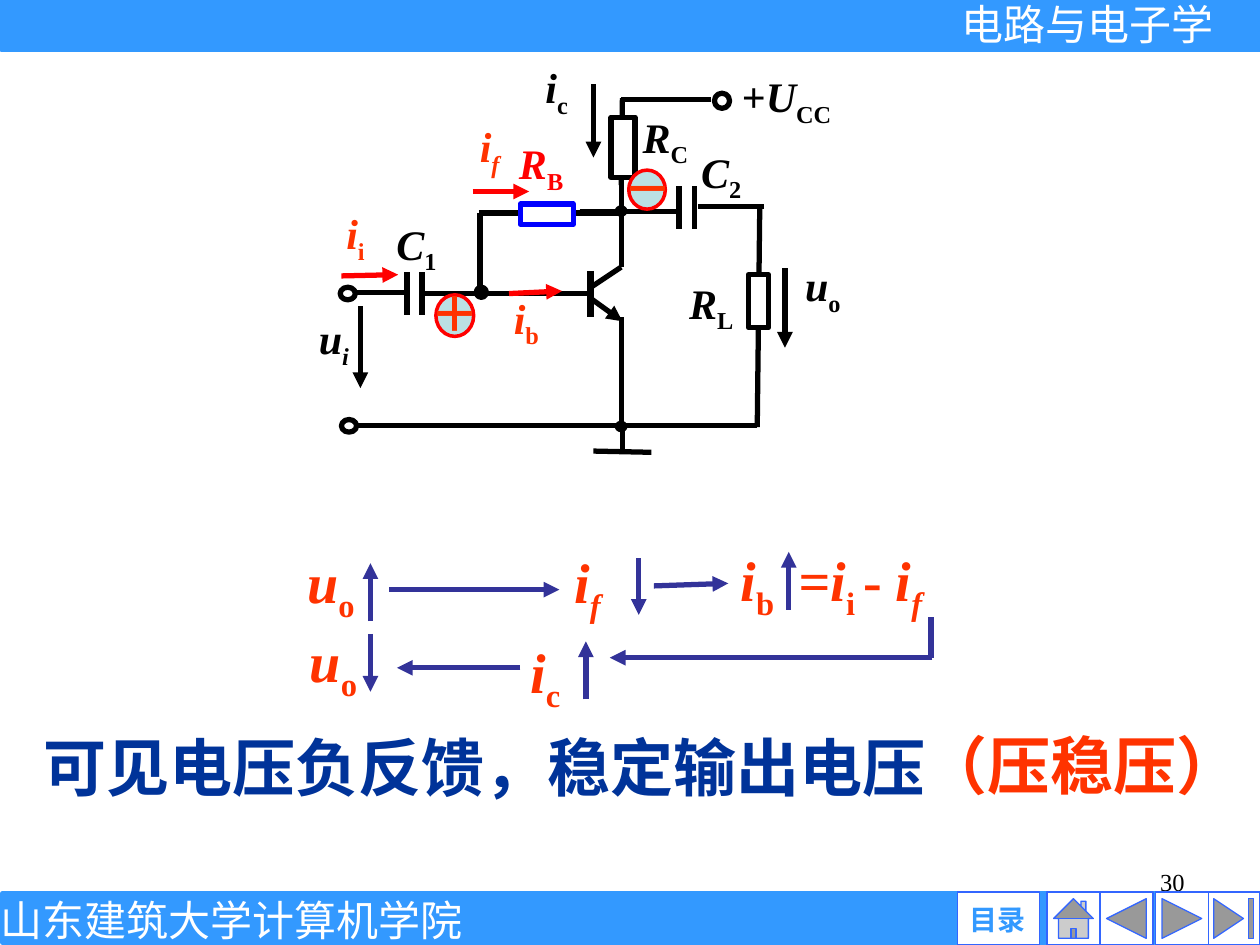
from dataclasses import dataclass

import pptx
import pptx.dml.color
import pptx.enum.shapes
import pptx.enum.text
import pptx.oxml.ns
import pptx.util
from lxml import etree

Inches, Pt = pptx.util.Inches, pptx.util.Pt
SHAPE = pptx.enum.shapes.MSO_SHAPE
ALIGN = pptx.enum.text.PP_ALIGN
ANCHOR = pptx.enum.text.MSO_ANCHOR

BLACK, WHITE, RED, BLUE = "000000", "FFFFFF", "FF0000", "0000FF"
ORANGE, NAVY, INDIGO = "FF3300", "003399", "333399"
BAR, BUTTON_EDGE, PALE = "3399FF", "3366FF", "BBE0E3"
SERIF, SANS = "Times New Roman", "Arial"


@dataclass
class Line:
    x1: float
    y1: float
    x2: float
    y2: float
    color: str = BLACK
    arrow: bool = False
    width: float = 3


@dataclass
class Box:
    kind: int
    x: float
    y: float
    w: float
    h: float
    fill: str | None = None
    line: str = BLACK
    width: float = 3


@dataclass
class Label:
    """Text box; each run is (text, style), with style letters i = italic, s = subscript."""
    x: float
    y: float
    w: float
    h: float
    runs: list[tuple[str, str]]
    color: str = BLACK
    size: int = 24
    bold: bool = True
    font: str = SERIF
    align: int = ALIGN.LEFT
    anchor: int = ANCHOR.TOP
    wrap: bool = True
    inset: bool = True


def rgb(value: str) -> pptx.dml.color.RGBColor:
    return pptx.dml.color.RGBColor.from_string(value)


def draw_line(s, item: Line) -> None:
    sp = s.shapes.add_connector(
        pptx.enum.shapes.MSO_CONNECTOR.STRAIGHT,
        Inches(item.x1), Inches(item.y1), Inches(item.x2), Inches(item.y2))
    sp.line.color.rgb = rgb(item.color)
    sp.line.width = Pt(item.width)
    qn = pptx.oxml.ns.qn
    if item.arrow:
        etree.SubElement(sp.line._get_or_add_ln(), qn("a:tailEnd"), type="triangle")
    etree.SubElement(sp._element.spPr, qn("a:effectLst"))


def draw_box(s, item: Box) -> None:
    sp = s.shapes.add_shape(item.kind, Inches(item.x), Inches(item.y),
                            Inches(item.w), Inches(item.h))
    sp.shadow.inherit = False
    if item.fill:
        sp.fill.solid()
        sp.fill.fore_color.rgb = rgb(item.fill)
    else:
        sp.fill.background()
    sp.line.color.rgb = rgb(item.line)
    sp.line.width = Pt(item.width)


def draw_label(s, item: Label) -> None:
    sp = s.shapes.add_textbox(Inches(item.x), Inches(item.y),
                              Inches(item.w), Inches(item.h))
    tf = sp.text_frame
    tf.word_wrap = item.wrap
    tf.vertical_anchor = item.anchor
    if not item.inset:
        tf.margin_left = tf.margin_right = tf.margin_top = tf.margin_bottom = 0
    p = tf.paragraphs[0]
    p.alignment = item.align
    for text, style in item.runs:
        r = p.add_run()
        r.text = text
        r.font.name = item.font
        r.font.size = Pt(item.size)
        r.font.bold = item.bold
        r.font.italic = "i" in style
        r.font.color.rgb = rgb(item.color)
        if "s" in style:
            r._r.get_or_add_rPr().set("baseline", "-25000")


def symbol(base: str, sub: str, sub_style: str = "s") -> list[tuple[str, str]]:
    return [(base, "i"), (sub, sub_style)]


def part_name(x: float, y: float, w: float, base: str, sub: str,
              color: str = BLACK, sub_style: str = "s", wrap: bool = False) -> Label:
    """Centred name of a component or voltage in the circuit."""
    return Label(x, y, w, 0.5, symbol(base, sub, sub_style), color,
                 align=ALIGN.CENTER, anchor=ANCHOR.MIDDLE, wrap=wrap)


def frame_text(x: float, y: float, w: float, h: float, text: str, **style) -> Label:
    """Text on the coloured bars and buttons."""
    return Label(x, y, w, h, [(text, "")], anchor=ANCHOR.MIDDLE, inset=False, **style)


BUTTONS = [
    (SHAPE.ACTION_BUTTON_END, 9.58, 0.42),
    (SHAPE.ACTION_BUTTON_FORWARD_OR_NEXT, 9.17, 0.42),
    (SHAPE.ACTION_BUTTON_BACK_OR_PREVIOUS, 8.73, 0.42),
    (SHAPE.ACTION_BUTTON_HOME, 8.31, 0.42),
    (SHAPE.ACTION_BUTTON_CUSTOM, 7.6, 0.65),
]
FRAME = [
    Label(7.17, 6.83, 2.33, 0.52, [("30", "")], size=14, bold=False, align=ALIGN.RIGHT),
    Box(SHAPE.RECTANGLE, 0.02, 7.09, 9.99, 0.39, BAR, BAR),
    *[Box(kind, x, 7.08, w, 0.42, WHITE, BUTTON_EDGE, 0.75) for kind, x, w in BUTTONS],
    frame_text(7.6, 7.16, 0.63, 0.27, "目录", color=BAR, size=16, font=SANS,
               align=ALIGN.CENTER),
    Box(SHAPE.RECTANGLE, 0.01, 0, 9.99, 0.39, BAR, BAR),
    frame_text(7.63, -0.01, 2.44, 0.4, "电路与电子学", color=WHITE, bold=False, font=SANS),
    frame_text(0, 7.1, 3.67, 0.4, "山东建筑大学计算机学院", color=WHITE, bold=False,
               align=ALIGN.CENTER, wrap=False),
]

WIRES = [Line(*ends) for ends in [
    (3.81, 1.69, 3.81, 2.3), (3.8, 1.69, 4.93, 1.69),      # feedback branch
    (4.93, 1.47, 4.94, 0.78), (4.93, 0.79, 5.64, 0.79),    # supply branch
    (2.83, 2.32, 3.23, 2.32), (3.35, 2.33, 4.13, 2.33), (4.01, 2.33, 4.7, 2.33),
    (4.69, 2.28, 4.93, 2.12), (4.93, 1.46, 4.93, 2.12), (4.93, 2.52, 4.93, 3.41),
    (2.84, 3.38, 3.53, 3.38), (3.51, 3.38, 5.77, 3.38), (4.52, 3.38, 6.01, 3.38),
    (4.6, 1.68, 5.39, 1.68), (5.54, 1.64, 6.06, 1.64), (6.03, 1.64, 6.01, 3.39),
    (4.94, 3.36, 4.94, 3.59), (4.71, 3.58, 5.17, 3.59),    # ground
]]
CAPACITOR_PLATES = [Line(x, y, x, y + 0.34) for x, y in
                    [(3.23, 2.16), (3.35, 2.16), (5.39, 1.48), (5.51, 1.48)]]
TRANSISTOR = [
    Line(4.69, 2.15, 4.69, 2.52, width=4),
    Line(4.69, 2.37, 4.94, 2.55, arrow=True),
]
TERMINALS = [Box(SHAPE.OVAL, x, y, 0.12, h) for x, y, h in
             [(5.67, 0.74, 0.12), (2.7, 2.28, 0.1), (2.71, 3.33, 0.1)]]
NODES = [Box(SHAPE.OVAL, x, y, w, h, BLACK) for x, y, w, h in
         [(4.9, 3.36, 0.06, 0.05), (3.78, 2.28, 0.08, 0.08), (4.9, 1.65, 0.06, 0.05)]]
RESISTORS = [
    Box(SHAPE.RECTANGLE, 5.94, 2.18, 0.16, 0.42, WHITE),
    Box(SHAPE.RECTANGLE, 4.85, 0.93, 0.19, 0.48, WHITE),
    Box(SHAPE.RECTANGLE, 4.13, 1.62, 0.42, 0.16, WHITE, BLUE),
]
POLARITY = [
    Box(SHAPE.OVAL, 3.46, 2.34, 0.3, 0.33, PALE, RED, 2),
    Label(3.32, 2.2, 0.59, 0.57, [("＋", "")], ORANGE, 28, wrap=False),
    Box(SHAPE.OVAL, 4.99, 1.35, 0.29, 0.31, PALE, RED, 2),
    Label(4.85, 1.21, 0.59, 0.57, [("－", "")], ORANGE, 28, wrap=False),
]
CIRCUIT_ARROWS = [Line(*ends, color, True) for color, *ends in [
    (BLACK, 6.23, 2.13, 6.23, 2.76), (BLACK, 2.86, 2.43, 2.86, 3.08),
    (BLACK, 4.71, 0.67, 4.71, 1.25), (RED, 3.75, 1.52, 4.2, 1.52),
    (RED, 2.71, 2.19, 3.16, 2.18), (RED, 4.04, 2.33, 4.46, 2.31),
]]
CIRCUIT_LABELS = [
    part_name(4.01, 1.07, 0.57, "R", "B", RED),
    part_name(4.99, 0.86, 0.58, "R", "C"),
    part_name(3.04, 1.71, 0.53, "C", "1"),
    part_name(5.46, 1.14, 0.53, "C", "2"),
    part_name(5.36, 2.18, 0.57, "R", "L"),
    part_name(2.42, 2.46, 0.46, "u", "i", sub_style="is", wrap=True),
    part_name(6.22, 2.04, 0.62, "u", "o", wrap=True),
    Label(5.79, 0.54, 0.95, 0.5, [("+", ""), *symbol("U", "CC")],
          anchor=ANCHOR.MIDDLE, wrap=False),
    Label(3.71, 0.91, 0.43, 0.5, symbol("i", "f", "is"), ORANGE),
    Label(2.65, 1.6, 0.43, 0.5, symbol("i", "i"), ORANGE),
    Label(3.98, 2.27, 0.43, 0.5, symbol("i", "b"), ORANGE),
    Label(4.23, 0.44, 0.39, 0.5, symbol("i", "c"), wrap=False),
]

FEEDBACK_TERMS = [Label(x, y, w, 0.63, runs, ORANGE, 32) for x, y, w, runs in [
    (2.34, 4.3, 1.09, symbol("u", "o")),
    (4.46, 4.3, 0.76, symbol("i", "f", "is")),
    (5.78, 4.28, 0.6, symbol("i", "b")),
    (6.24, 4.28, 1.97, [("=", ""), *symbol("i", "i "), ("- ", ""), *symbol("i", "f", "is")]),
    (2.36, 4.92, 1.09, symbol("u", "o")),
    (4.11, 5.01, 0.57, symbol("i", "c")),
]]
FEEDBACK_ARROWS = [Line(*ends, INDIGO, True) for ends in [
    (3.09, 4.68, 4.44, 4.68), (2.94, 4.93, 2.94, 4.47), (5.19, 4.65, 5.78, 4.63),
    (5.07, 4.43, 5.07, 4.88), (6.26, 4.84, 6.26, 4.38), (2.94, 5.03, 2.94, 5.49),
    (7.4, 5.22, 4.84, 5.22), (4.65, 5.55, 4.65, 5.09), (4.13, 5.3, 3.15, 5.3),
]]
CONCLUSION = [
    Line(7.39, 5.22, 7.39, 4.9, INDIGO),
    Label(0.25, 5.73, 9.33, 0.7, [("可见电压负反馈，稳定输出电压", "")], NAVY, 36),
    Label(7.14, 5.72, 2.9, 0.7, [("（压稳压）", "")], ORANGE, 36, align=ALIGN.CENTER),
]


def main() -> None:
    prs = pptx.Presentation()
    prs.slide_width, prs.slide_height = Inches(10), Inches(7.5)
    s = prs.slides.add_slide(prs.slide_layouts[6])
    draw = {Line: draw_line, Box: draw_box, Label: draw_label}
    for layer in (FRAME, WIRES, CAPACITOR_PLATES, TRANSISTOR, TERMINALS, NODES, RESISTORS,
                  POLARITY, CIRCUIT_ARROWS, CIRCUIT_LABELS, FEEDBACK_TERMS,
                  FEEDBACK_ARROWS, CONCLUSION):
        for item in layer:
            draw[type(item)](s, item)
    prs.save("out.pptx")


if __name__ == "__main__":
    main()
